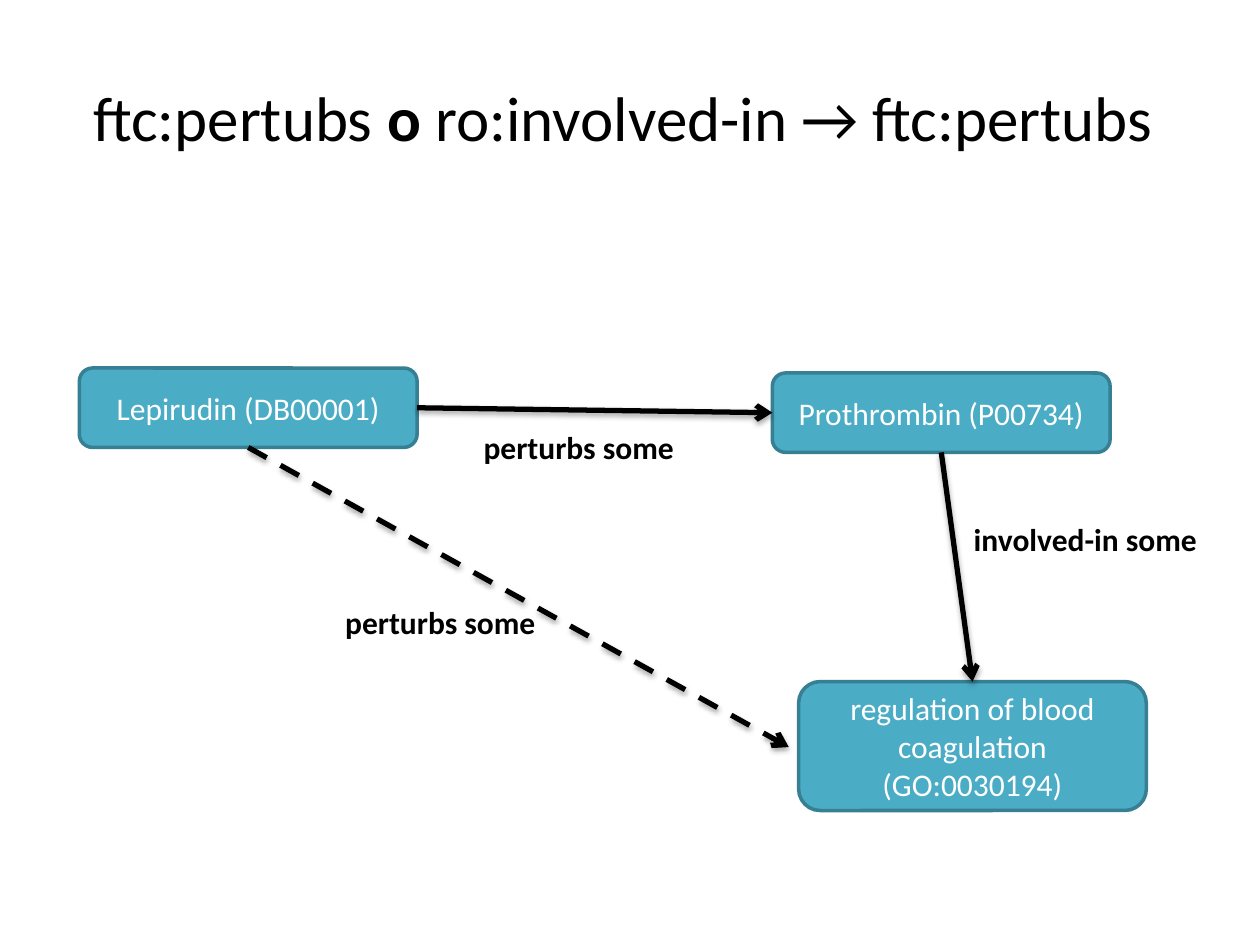
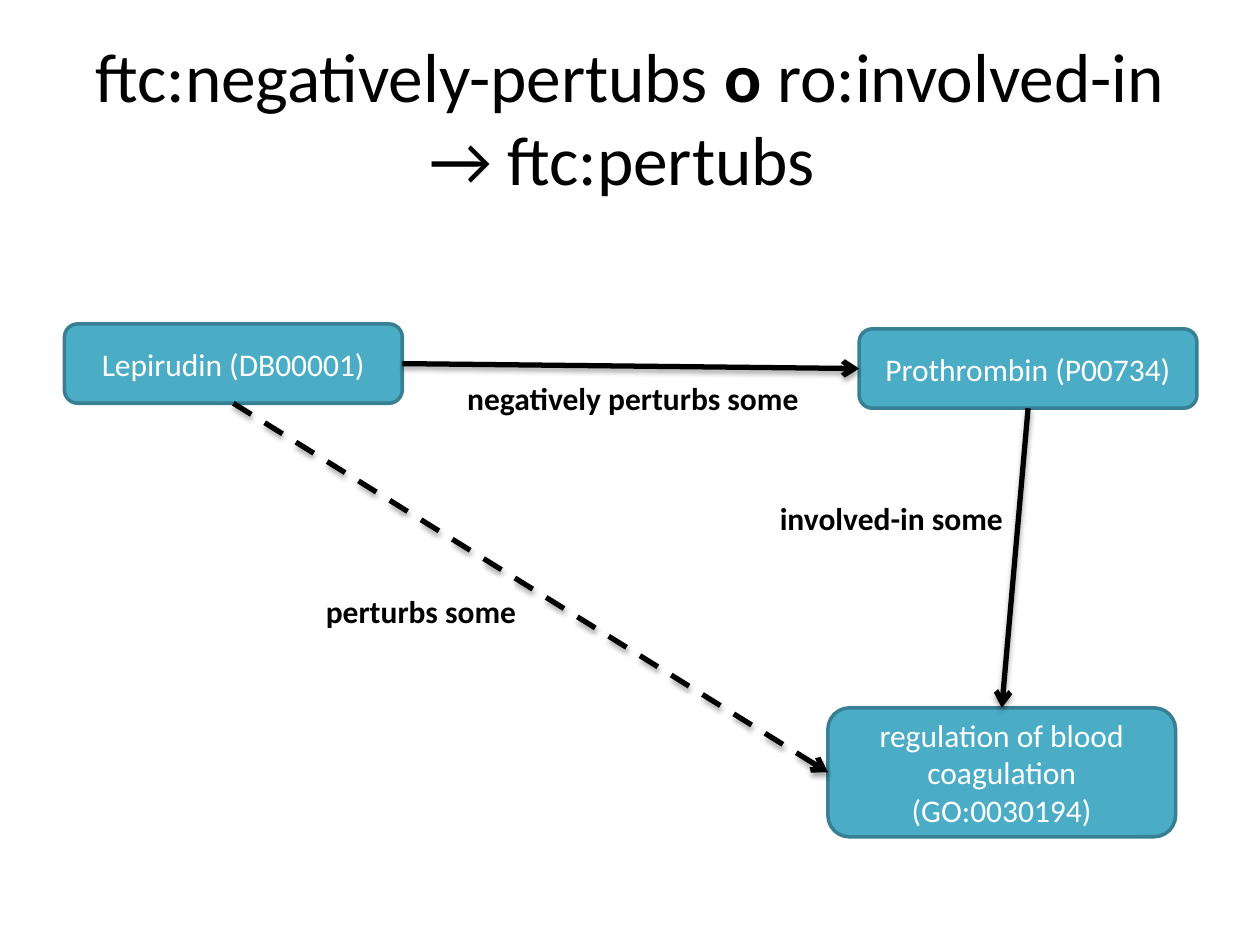
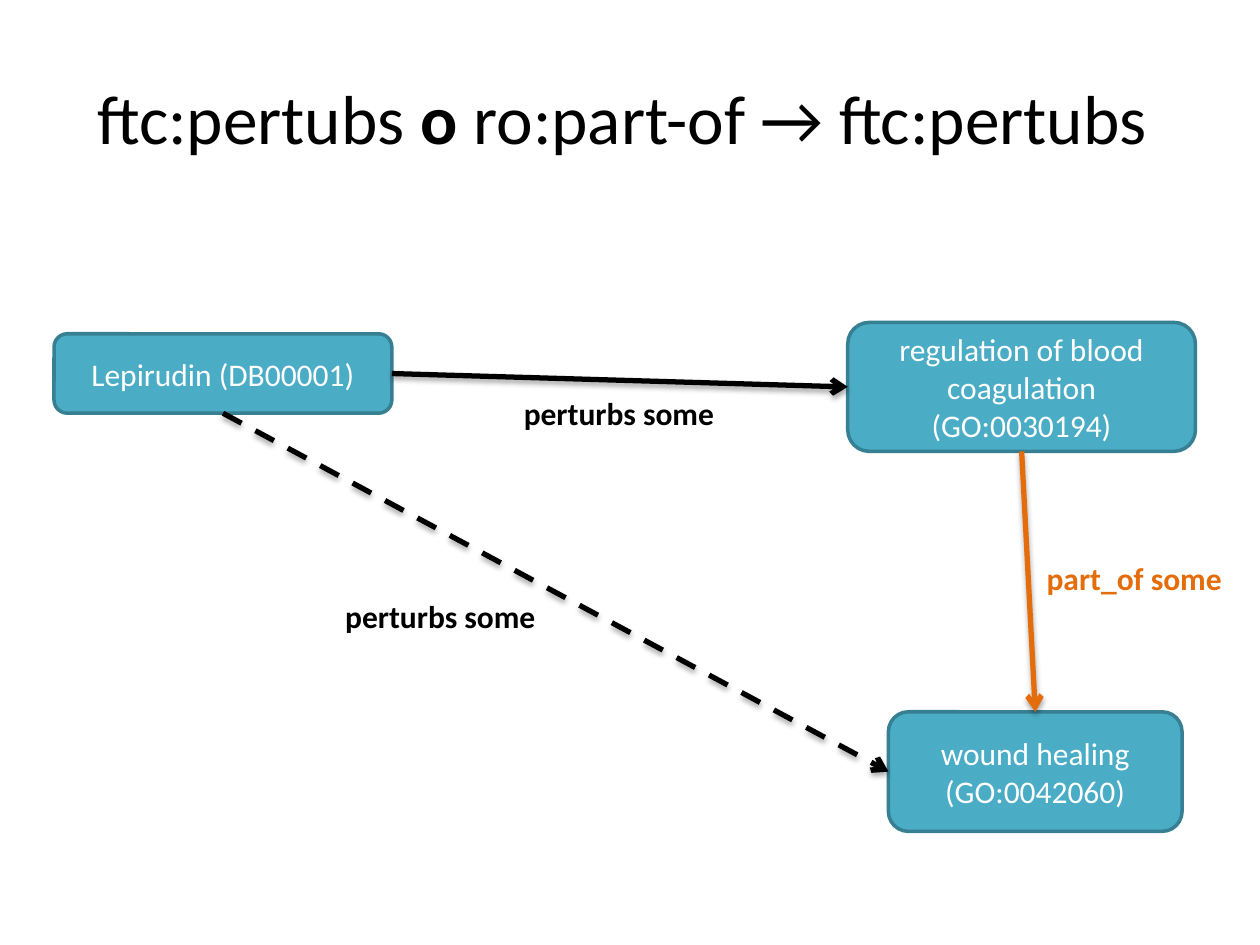
from lxml.etree import SubElement
from pptx import Presentation
from pptx.dml.color import RGBColor
from pptx.enum.dml import MSO_LINE_DASH_STYLE as Dash
from pptx.enum.shapes import MSO_CONNECTOR as Connector, MSO_SHAPE as Shape
from pptx.enum.text import MSO_ANCHOR as Anchor, MSO_AUTO_SIZE as AutoSize, PP_ALIGN as Align
from pptx.oxml.ns import qn
from pptx.util import Cm, Pt

FONT = "Calibri"
BLACK, WHITE, TEAL, DARK_TEAL, ORANGE = "000000", "FFFFFF", "4BACC6", "377F92", "E46C0A"
TOP, LEFT, BOTTOM, RIGHT = range(4)

DRUG = "Lepirudin (DB00001)"
PROTEIN = "Prothrombin (P00734)"
REGULATION = "regulation of blood coagulation (GO:0030194)"
HEALING = "wound healing (GO:0042060)"
NODE_SIZES = {DRUG: (6.81, 1.6), PROTEIN: (6.81, 1.6), REGULATION: (7.01, 2.6), HEALING: (5.92, 2.41)}

PERTURBS = "perturbs some"
NEGATIVE = "negatively perturbs some"
INVOLVED = "involved-in some"
PART_OF = "part_of some"
LABEL_WIDTHS = {PERTURBS: 4.37, NEGATIVE: 7.24, INVOLVED: 5.03, PART_OF: 4.06}

RULES = [
    {
        "title": ("ftc:pertubs ", "ro:involved-in → ftc:pertubs "),
        "title_size": 36,
        "nodes": [(DRUG, 1.6, 7.42), (PROTEIN, 15.57, 7.52), (REGULATION, 16.1, 13.74)],
        "labels": [(PERTURBS, 9.5, 8.51), (INVOLVED, 19.38, 10.36), (PERTURBS, 6.71, 12.04)],
        "inferred_end": (15.9, 15.06),
    },
    {
        "title": ("ftc:negatively-pertubs ", "ro:involved-in → ftc:pertubs "),
        "nodes": [(DRUG, 1.3, 6.53), (PROTEIN, 17.32, 6.63), (REGULATION, 16.69, 14.27)],
        "labels": [(NEGATIVE, 9.17, 7.52), (INVOLVED, 15.47, 9.93), (PERTURBS, 6.32, 11.81)],
    },
    {
        "title": ("ftc:pertubs ", "ro:part-of → ftc:pertubs "),
        "nodes": [(DRUG, 1.09, 6.73), (REGULATION, 17.09, 6.5), (HEALING, 17.91, 14.35)],
        "labels": [(PERTURBS, 10.31, 7.82), (PART_OF, 20.85, 11.15), (PERTURBS, 6.71, 11.91)],
        "second_color": ORANGE,
    },
]


def rgb(color):
    return RGBColor.from_string(color)


def write(paragraph, text, size=18, color=BLACK, bold=False, align=Align.CENTER):
    paragraph.alignment = align
    run = paragraph.add_run()
    run.text = text
    run.font.name = FONT
    run.font.size = Pt(size)
    run.font.bold = bold
    run.font.color.rgb = rgb(color)


def add_title(slide, before, after, size):
    title = slide.shapes.title
    title.left, title.top, title.width, title.height = Cm(1.27), Cm(0.76), Cm(22.86), Cm(3.18)
    title.text_frame.vertical_anchor = Anchor.MIDDLE
    for text, bold in ((before, False), ("o ", True), (after, False)):
        write(title.text_frame.paragraphs[0], text, size=size, bold=bold)


def add_node(slide, text, left, top):
    width, height = NODE_SIZES[text]
    node = slide.shapes.add_shape(Shape.ROUNDED_RECTANGLE, Cm(left), Cm(top), Cm(width), Cm(height))
    node.shadow.inherit = False
    node.fill.solid()
    node.fill.fore_color.rgb = rgb(TEAL)
    node.line.color.rgb = rgb(DARK_TEAL)
    node.line.width = Pt(2)
    node.text_frame.word_wrap = True
    node.text_frame.vertical_anchor = Anchor.MIDDLE
    write(node.text_frame.paragraphs[0], text, color=WHITE)
    return node


def add_label(slide, text, left, top, color):
    label = slide.shapes.add_textbox(Cm(left), Cm(top), Cm(LABEL_WIDTHS[text]), Cm(1.03))
    label.text_frame.word_wrap = False
    label.text_frame.auto_size = AutoSize.SHAPE_TO_FIT_TEXT
    write(label.text_frame.paragraphs[0], text, color=color, bold=True, align=Align.LEFT)


def add_shadow(arrow):
    effects = SubElement(arrow._element.spPr, qn("a:effectLst"))
    shadow = SubElement(effects, qn("a:outerShdw"), blurRad="40000", dist="23000", dir="5400000", rotWithShape="0")
    shade = SubElement(shadow, qn("a:srgbClr"), val=BLACK)
    SubElement(shade, qn("a:alpha"), val="35000")


def add_arrow(slide, source, source_side, target, target_side, color=BLACK, dashed=False, free_end=None):
    end_x, end_y = free_end or (0, 0)
    arrow = slide.shapes.add_connector(Connector.STRAIGHT, 0, 0, Cm(end_x), Cm(end_y))
    arrow.begin_connect(source, source_side)
    if not free_end:
        arrow.end_connect(target, target_side)
    arrow.line.color.rgb = rgb(color)
    arrow.line.width = Pt(3)
    if dashed:
        arrow.line.dash_style = Dash.DASH
    SubElement(arrow.line._get_or_add_ln(), qn("a:tailEnd"), type="arrow")
    add_shadow(arrow)


def add_rule(deck, rule):
    slide = deck.slides.add_slide(deck.slide_layouts.get_by_name("Title Only"))
    add_title(slide, *rule["title"], rule.get("title_size", 39.6))
    second_color = rule.get("second_color", BLACK)
    drug, middle, process = [add_node(slide, *node) for node in rule["nodes"]]
    add_arrow(slide, drug, RIGHT, middle, LEFT)
    add_arrow(slide, middle, BOTTOM, process, TOP, color=second_color)
    add_arrow(slide, drug, BOTTOM, process, LEFT, dashed=True, free_end=rule.get("inferred_end"))
    for label, color in zip(rule["labels"], (BLACK, second_color, BLACK)):
        add_label(slide, *label, color)


def main():
    deck = Presentation()
    deck.slide_width, deck.slide_height = Cm(25.4), Cm(19.05)
    for rule in RULES:
        add_rule(deck, rule)
    deck.save("out.pptx")


if __name__ == "__main__":
    main()
